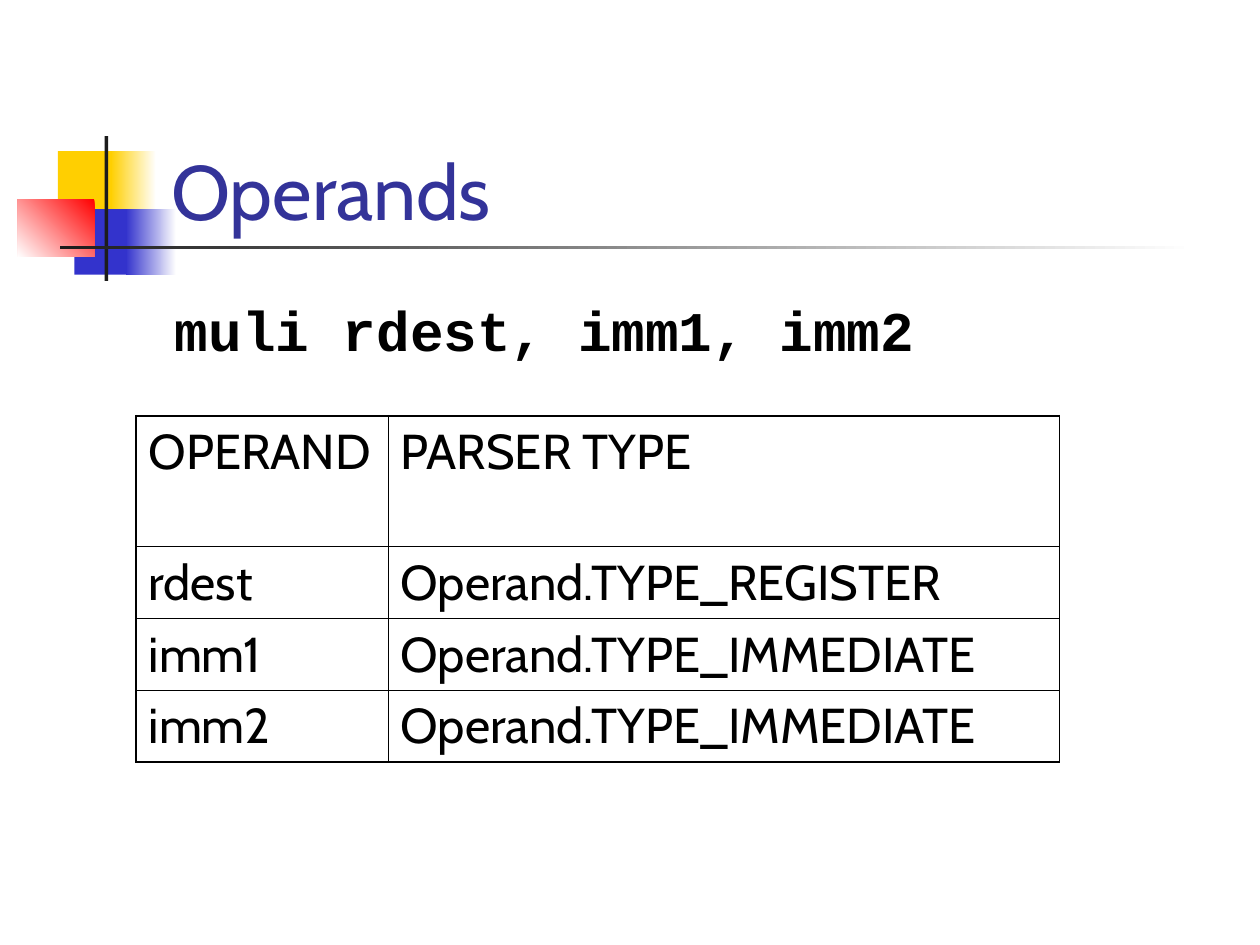
import pptx
import pptx.util
import pptx.dml.color
import pptx.enum.shapes
import pptx.enum.text
import pptx.oxml
import pptx.oxml.ns

COLORS = {
    "yellow": "FFCF01", "blue": "3333CC", "red": "FF0000", "white": "FFFFFF",
    "charcoal": "1C1C1C", "title": "333399", "black": "000000",
}
UNIT = pptx.util.Inches(0.1)  # the slide is a grid of 100 columns by 75 rows
SANS, MONO = "Cabin", "Courier New"
THICK, THIN = 1.08, 0.45


def color(name):
    return pptx.dml.color.RGBColor.from_string(COLORS[name])


def grid(*counts):
    return [round(count * UNIT) for count in counts]


def add_span(para, text, font, size, tint, bold=False):
    span = para.add_run()
    span.text = text
    span.font.name = font
    span.font.size = pptx.util.Pt(size)
    span.font.bold = bold
    span.font.color.rgb = color(tint)


def add_block(page, box, tints, angle=180):
    """A borderless rectangle, plain with one tint and graded with two."""
    block = page.shapes.add_shape(
        pptx.enum.shapes.MSO_SHAPE.RECTANGLE, *grid(*box))
    block.shadow.inherit = False
    block.line.fill.background()
    if len(tints) == 1:
        block.fill.solid()
        block.fill.fore_color.rgb = color(tints[0])
        return
    block.fill.gradient()
    block.fill.gradient_angle = angle
    for stop, tint in zip(block.fill.gradient_stops, tints):
        stop.color.rgb = color(tint)


def add_emblem(page, box):
    """Overlapping squares crossed by a vertical bar and a fading rule."""
    left, top, width, height = box
    blocks = [
        (3.2, 1.2, 4.8, 5.2, ["yellow"], 180),
        (7.4, 1.2, 3.6, 5.2, ["white", "yellow"], 180),
        (4.5, 5.8, 4.6, 5.2, ["blue"], 180),
        (8.6, 5.8, 4, 5.2, ["white", "blue"], 180),
        (0, 5, 6.1, 4.6, ["red", "white"], 225),
        (6.9, 0, 0.3, height, ["charcoal"], 180),
        (3.4, 8.7, width - 3.4, 0.3, ["white", "charcoal"], 180),
    ]
    for x, y, wide, high, tints, angle in blocks:
        add_block(page, (left + x, top + y, wide, high), tints, angle)


def add_text(page, box, anchor, *style):
    frame = page.shapes.add_textbox(*grid(*box)).text_frame
    frame.word_wrap = True
    frame.vertical_anchor = anchor
    add_span(frame.paragraphs[0], *style)


def set_border(cell, side, points):
    width = pptx.util.Pt(points)
    cell._tc.get_or_add_tcPr().append(pptx.oxml.parse_xml(
        f'<a:{side} {pptx.oxml.ns.nsdecls("a")} w="{width}"><a:solidFill>'
        f'<a:srgbClr val="{COLORS["black"]}"/></a:solidFill></a:{side}>'))


def add_operand_table(page, box, rows, column_units, row_units):
    table = page.shapes.add_table(
        len(rows), len(column_units), *grid(*box)).table
    table.first_row = table.horz_banding = False
    for column, width in zip(table.columns, grid(*column_units)):
        column.width = width
    for row, height in zip(table.rows, grid(*row_units)):
        row.height = height

    last_row, last_column = len(rows) - 1, len(column_units) - 1
    for r, texts in enumerate(rows):
        for c, text in enumerate(texts):
            cell = table.cell(r, c)
            add_span(cell.text_frame.paragraphs[0], text, SANS, 28, "black")
            # Outer edges are thicker than inner ones
            edges = {"lnL": c == 0, "lnR": c == last_column,
                     "lnT": r == 0, "lnB": r == last_row}
            for side, outer in edges.items():
                set_border(cell, side, THICK if outer else THIN)
            cell.fill.background()


def main():
    deck = pptx.Presentation()
    deck.slide_width, deck.slide_height = grid(100, 75)
    page = deck.slides.add_slide(deck.slide_layouts[6])
    anchors = pptx.enum.text.MSO_ANCHOR

    # Decoration behind the title
    add_emblem(page, (1.4, 10.8, 93.4, 11.5))

    # Title and the instruction
    add_text(page, (12.6, 6.7, 85.2, 12.5), anchors.BOTTOM,
             "Operands", SANS, 44, "title")
    add_text(page, (12.9, 23, 85, 44), anchors.TOP,
             "muli rdest, imm1, imm2", MONO, 32, "black", True)

    # Operands and their parser types
    add_operand_table(
        page, (10.8, 33, 73.3, 27.5),
        [("OPERAND", "PARSER TYPE"),
         ("rdest", "Operand.TYPE_REGISTER"),
         ("imm1", "Operand.TYPE_IMMEDIATE"),
         ("imm2", "Operand.TYPE_IMMEDIATE")],
        (20, 53.3), (10.4, 5.7, 5.7, 5.7))

    deck.save("out.pptx")


if __name__ == "__main__":
    main()
